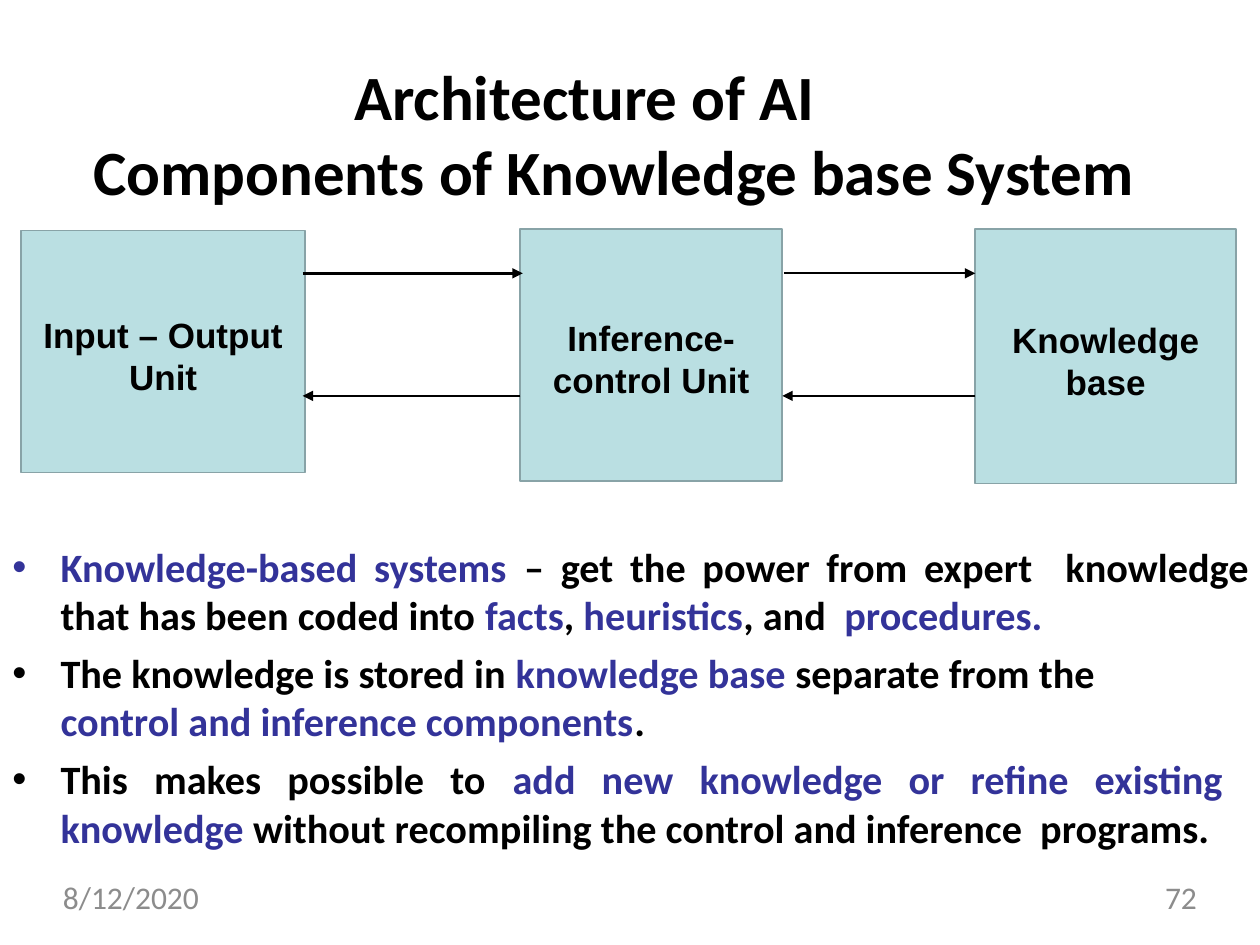
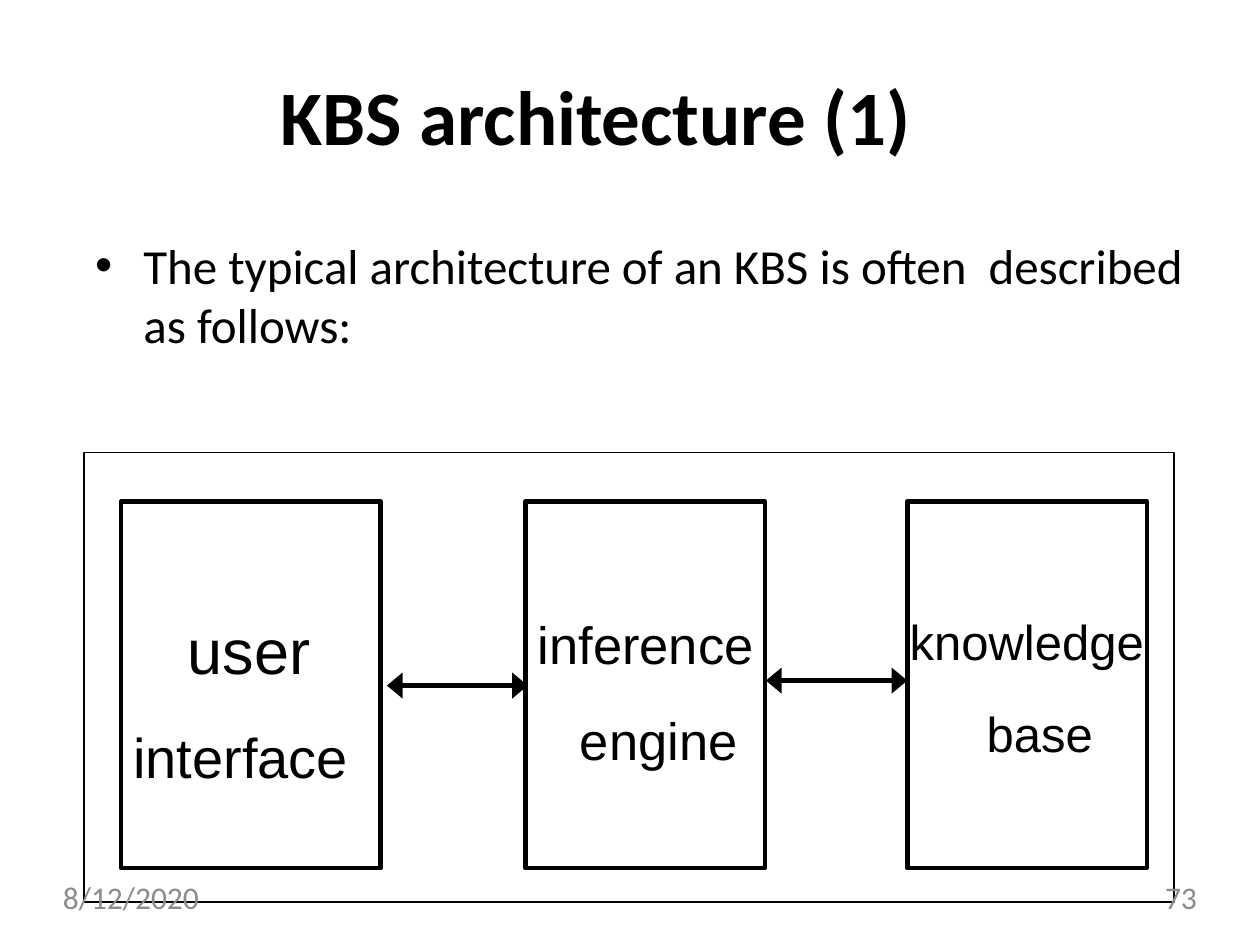
from dataclasses import dataclass

import pptx
import pptx.dml.color
import pptx.enum.shapes
import pptx.enum.text
import pptx.oxml.ns
import pptx.util
from lxml import etree
from pptx.util import Cm, Pt

ALIGN = pptx.enum.text.PP_ALIGN
ANCHOR = pptx.enum.text.MSO_ANCHOR
BLACK, ACCENT, GREY = "000000", "333399", "8C8C8C"
UNIT_FILL, UNIT_LINE = "BADFE2", "88A3A7"
HEADING_FONT, DIAGRAM_FONT = "Calibri", "Arial"
DATE = "8/12/2020"


@dataclass(frozen=True)
class Area:
    """A rectangle in centimetres."""
    left: float
    top: float
    width: float
    height: float

    def lengths(self) -> tuple:
        return Cm(self.left), Cm(self.top), Cm(self.width), Cm(self.height)


@dataclass(frozen=True)
class Look:
    font: str
    size: float
    bold: bool = False
    color: str = BLACK


@dataclass(frozen=True)
class Line:
    """One paragraph; text between asterisks takes the accent colour."""
    text: str
    look: Look
    align: ALIGN = ALIGN.LEFT
    margin: float = 0
    indent: float = 0
    before: float = 0
    bullet: bool = True


@dataclass(frozen=True)
class Unit:
    area: Area
    lines: list[Line]


@dataclass(frozen=True)
class Arrow:
    start: float
    end: float
    y: float
    weight: float


# Shared helpers
def rgb(color: str) -> pptx.dml.color.RGBColor:
    return pptx.dml.color.RGBColor.from_string(color)


def add_xml(parent, tag: str, **attributes: str) -> None:
    etree.SubElement(parent, pptx.oxml.ns.qn(tag), attributes)


def style(font, look: Look, color: str) -> None:
    font.name, font.size, font.bold = look.font, Pt(look.size), look.bold
    font.color.rgb = rgb(color)


def write(frame, lines: list[Line], inset: float = 0, anchor=ANCHOR.TOP) -> None:
    frame.word_wrap = True
    frame.auto_size = pptx.enum.text.MSO_AUTO_SIZE.NONE
    frame.vertical_anchor = anchor
    frame.margin_left = frame.margin_right = frame.margin_bottom = 0
    frame.margin_top = Cm(inset)
    for number, line in enumerate(lines):
        paragraph = frame.add_paragraph() if number else frame.paragraphs[0]
        properties = paragraph._p.get_or_add_pPr()
        properties.set("marL", str(Cm(line.margin)))
        properties.set("indent", str(Cm(line.indent)))
        if not line.bullet:
            add_xml(properties, "a:buNone")
        paragraph.alignment = line.align
        paragraph.space_before = Pt(line.before)
        style(paragraph.font, line.look, line.look.color)
        for part, text in enumerate(line.text.split("*")):
            color = ACCENT if part % 2 else line.look.color
            for row, words in enumerate(text.split("\v")):
                if row:
                    paragraph.add_line_break()
                if words:
                    run = paragraph.add_run()
                    run.text = words
                    style(run.font, line.look, color)


def fill_placeholder(holder, area: Area, lines: list[Line], inset: float) -> None:
    holder.left, holder.top, holder.width, holder.height = area.lengths()
    write(holder.text_frame, lines, inset)


def add_box(slide, area: Area, line: str, weight: float, fill: str = ""):
    box = slide.shapes.add_shape(
        pptx.enum.shapes.MSO_SHAPE.RECTANGLE, *area.lengths())
    box.shadow.inherit = False
    box.line.color.rgb = rgb(line)
    box.line.width = Pt(weight)
    if fill:
        box.fill.solid()
        box.fill.fore_color.rgb = rgb(fill)
    else:
        box.fill.background()
    return box


def add_arrow(slide, arrow: Arrow, both_ways: bool = False) -> None:
    connector = slide.shapes.add_connector(
        pptx.enum.shapes.MSO_CONNECTOR.STRAIGHT,
        Cm(arrow.start), Cm(arrow.y), Cm(arrow.end), Cm(arrow.y))
    connector.line.color.rgb = rgb(BLACK)
    connector.line.width = Pt(arrow.weight)
    outline = connector.line._get_or_add_ln()
    width = "lg" if both_ways else "med"
    for tag in ["a:headEnd", "a:tailEnd"] if both_ways else ["a:tailEnd"]:
        add_xml(outline, tag, type="triangle", w=width, len="med")
    add_xml(connector._element.spPr, "a:effectLst")


def add_footer(slide, number: int) -> None:
    look = Look(HEADING_FONT, 18, color=GREY)
    for left, text, align in [(1.27, DATE, ALIGN.LEFT),
                              (18.29, str(number), ALIGN.RIGHT)]:
        box = slide.shapes.add_textbox(*Area(left, 17.7, 5.84, 0.97).lengths())
        write(box.text_frame, [Line(text, look, align)])


def new_slide(deck):
    return deck.slides.add_slide(deck.slide_layouts[1])


# Slide 72: components of the system
def add_components(deck) -> None:
    slide = new_slide(deck)
    title = Line("Architecture of AI\vComponents of Knowledge base System",
                 Look(HEADING_FONT, 36, True), margin=0.41, indent=5.26, before=0.9)
    fill_placeholder(slide.shapes.title, Area(1.47, 0.41, 22.66, 3.81), [title], 0.74)

    strong = Look(HEADING_FONT, 23, True)
    hanging = {"look": strong, "margin": 0.99, "indent": -0.97}
    facts = [
        Line("*Knowledge-based systems* – get the power from expert  knowledge that "
             "has been coded into *facts*, *heuristics*, and  *procedures.*",
             align=ALIGN.JUSTIFY, before=1, **hanging),
        Line("The knowledge is stored in *knowledge base* separate from the",
             before=5.5, **hanging),
        Line("*control and inference components*.", strong, margin=0.99, bullet=False),
        Line("This makes possible to *add new knowledge or refine existing  knowledge* "
             "without recompiling the control and inference  programs.",
             align=ALIGN.JUSTIFY, before=5.5, **hanging),
    ]
    fill_placeholder(slide.placeholders[1], Area(0.23, 10.9, 24.97, 6.35), facts, 0.03)

    label = Look(DIAGRAM_FONT, 20, True)
    for area, text in [
        (Area(0.43, 4.65, 5.72, 4.88), "Input – Output\vUnit"),
        (Area(10.49, 4.62, 5.28, 5.08), "Inference-\vcontrol Unit"),
        (Area(19.66, 4.62, 5.26, 5.13), "Knowledge\vbase"),
    ]:
        box = add_box(slide, area, UNIT_LINE, 0.96, UNIT_FILL)
        write(box.text_frame, [Line(text, label, ALIGN.CENTER)], 0.15, ANCHOR.MIDDLE)

    for arrow in [Arrow(6.1, 10.54, 5.51, 1.5), Arrow(15.8, 19.66, 5.51, 1),
                  Arrow(10.49, 6.1, 7.98, 1), Arrow(19.66, 15.77, 7.98, 1)]:
        add_arrow(slide, arrow)
    add_footer(slide, 72)


# Slide 73: typical architecture
def add_architecture(deck) -> None:
    slide = new_slide(deck)
    title = Line("KBS architecture (1)", Look(HEADING_FONT, 44, True), before=1.1)
    fill_placeholder(slide.shapes.title, Area(5.66, 1.35, 14.05, 1.93), [title], 0.03)
    intro = Line("The typical architecture of an KBS is often  described as follows:",
                 Look(HEADING_FONT, 28), margin=0.99, indent=-0.97, before=0.9)
    fill_placeholder(slide.placeholders[1], Area(1.9, 4.72, 22, 2.44), [intro], 0.03)

    add_box(slide, Area(1.7, 9.12, 21.97, 9.07), BLACK, 0.96)

    def word(text: str, size: float, margin: float, before: float = 0) -> Line:
        return Line(text, Look(DIAGRAM_FONT, size), margin=margin, before=before)

    for unit in [
        Unit(Area(2.44, 10.11, 5.23, 7.39),
             [word("user", 36, 1.35), word("interface", 32, 0.25, 20)]),
        Unit(Area(10.59, 10.11, 4.83, 7.39),
             [word("inference", 30, 0.25), word("engine", 30, 1.1, 19)]),
        Unit(Area(18.29, 10.11, 4.83, 7.39),
             [word("knowledge", 28, 0.05), word("base", 28, 1.6, 19)]),
    ]:
        box = add_box(slide, unit.area, BLACK, 2.6)
        write(box.text_frame, unit.lines, 2.22)

    for arrow in [Arrow(7.8, 10.64, 13.82, 3), Arrow(15.44, 18.29, 13.72, 3)]:
        add_arrow(slide, arrow, both_ways=True)
    add_footer(slide, 73)


def main() -> None:
    deck = pptx.Presentation()
    deck.slide_width, deck.slide_height = Cm(25.4), Cm(19.05)
    add_components(deck)
    add_architecture(deck)
    deck.save("out.pptx")


if __name__ == "__main__":
    main()
